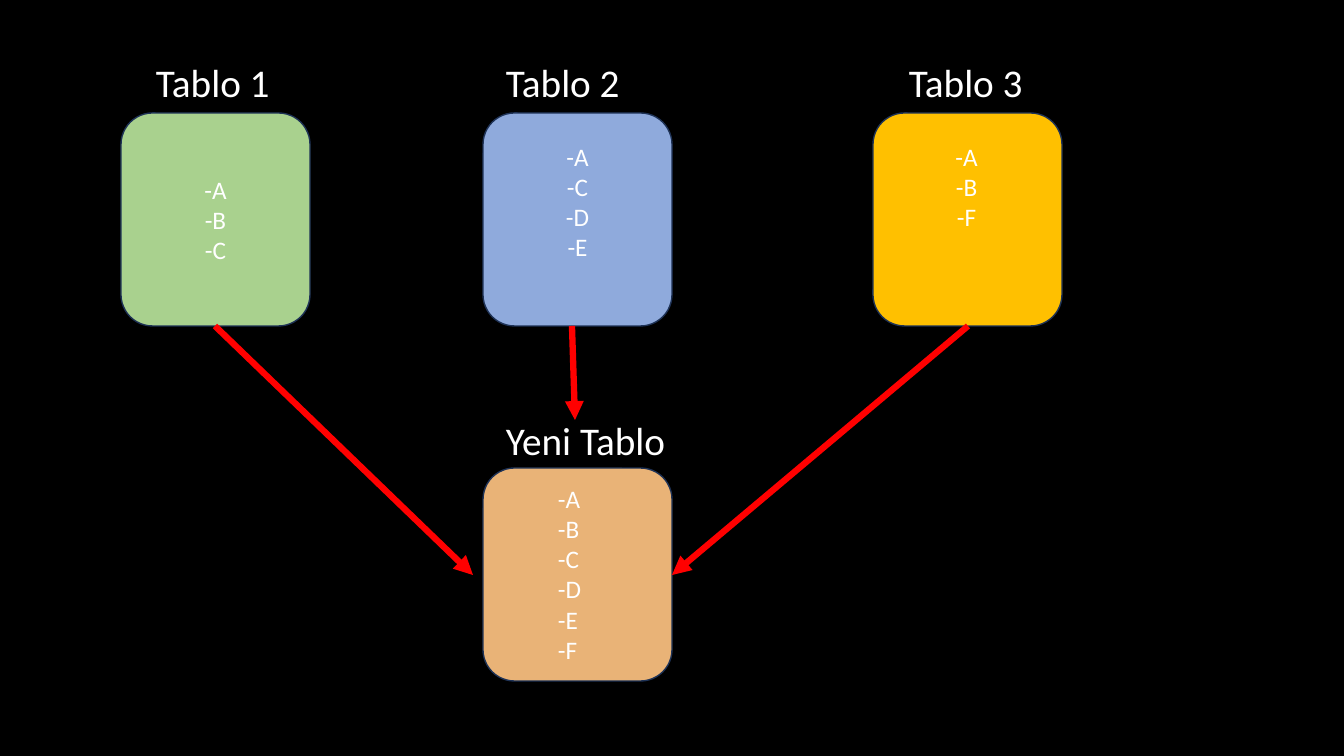
from lxml.etree import SubElement
from pptx import Presentation
from pptx.dml.color import RGBColor
from pptx.enum.shapes import MSO_CONNECTOR, MSO_SHAPE
from pptx.enum.text import MSO_ANCHOR, PP_ALIGN
from pptx.oxml.ns import qn
from pptx.util import Pt

CARD_W, CARD_H = 189, 213
TOP_Y, NEW_Y = 113, 468


def px(n):
    return round(n * 914400 / 100.8)


def color(value):
    return RGBColor.from_string(value)


def write(tf, lines, size, align):
    tf.text = "\n".join(lines)
    for p in tf.paragraphs:
        p.alignment = align
        for r in p.runs:
            r.font.size = Pt(size)
            r.font.name = "Calibri"
            r.font.color.rgb = color("FFFFFF")


def add_text(s, x, y, w, h, lines, size=18, align=PP_ALIGN.CENTER):
    tf = s.shapes.add_textbox(px(x), px(y), px(w), px(h)).text_frame
    tf.word_wrap = True
    write(tf, lines, size, align)
    return tf


def add_heading(s, x, y, text):
    tf = add_text(s, x, y, 180, 48, [text], 28, PP_ALIGN.LEFT)
    tf.margin_left = tf.margin_right = tf.margin_top = tf.margin_bottom = 0


def add_card(s, x, y, fill):
    sp = s.shapes.add_shape(MSO_SHAPE.ROUNDED_RECTANGLE, px(x), px(y), px(CARD_W), px(CARD_H))
    sp.shadow.inherit = False
    sp.fill.solid()
    sp.fill.fore_color.rgb = color(fill)
    sp.line.color.rgb = color("1E3256")
    sp.line.width = Pt(1)
    return sp


def add_arrow(s, x1, y1, x2, y2):
    line = s.shapes.add_connector(MSO_CONNECTOR.STRAIGHT, px(x1), px(y1), px(x2), px(y2))
    line.line.color.rgb = color("FF0000")
    line.line.width = Pt(4.5)
    SubElement(line.line._get_or_add_ln(), qn("a:tailEnd"), type="triangle")
    SubElement(line._element.spPr, qn("a:effectLst"))


def main():
    prs = Presentation()
    prs.slide_width, prs.slide_height = px(1344), px(756)
    s = prs.slides.add_slide(prs.slide_layouts[6])
    s.background.fill.solid()
    s.background.fill.fore_color.rgb = color("000000")

    for x, y, text in [(156, 58, "Tablo 1"), (506, 58, "Tablo 2"),
                       (909, 58, "Tablo 3"), (506, 416, "Yeni Tablo")]:
        add_heading(s, x, y, text)

    first = add_card(s, 121, TOP_Y, "A9D18E")
    first.text_frame.vertical_anchor = MSO_ANCHOR.MIDDLE
    write(first.text_frame, ["-A", "-B", "-C"], 18, PP_ALIGN.CENTER)
    for x, y, fill in [(483, NEW_Y, "E9B377"), (483, TOP_Y, "8FAADC"), (873, TOP_Y, "FFC000")]:
        add_card(s, x, y, fill)

    add_text(s, 497, 136, 161, 132, ["-A", "-C", "-D", "-E"])
    add_text(s, 900, 136, 133, 102, ["-A", "-B", "-F"])
    add_text(s, 548, 478, 115, 194, ["-A", "-B", "-C", "-D", "-E", "-F"], align=PP_ALIGN.LEFT)

    for ends in [(215, 326, 473, 575), (572, 326, 575, 420), (968, 326, 672, 575)]:
        add_arrow(s, *ends)

    prs.save("out.pptx")


if __name__ == "__main__":
    main()
